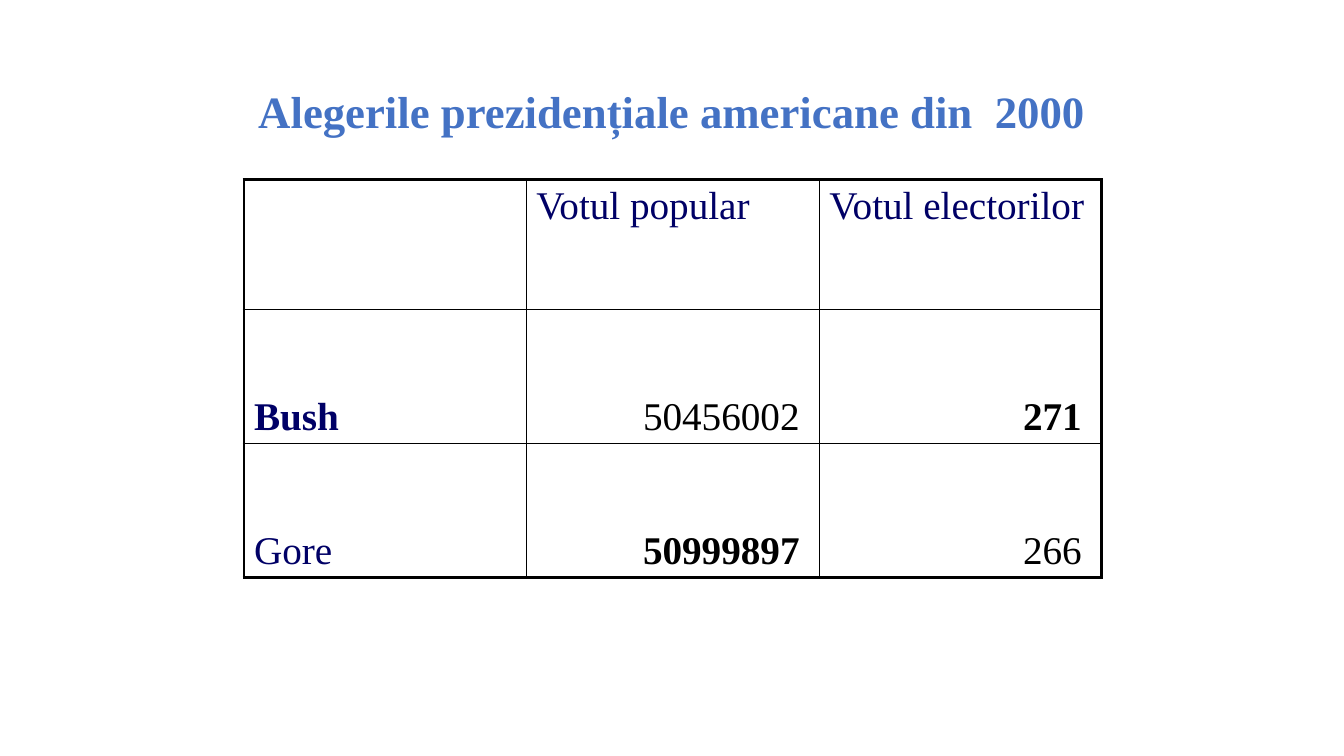
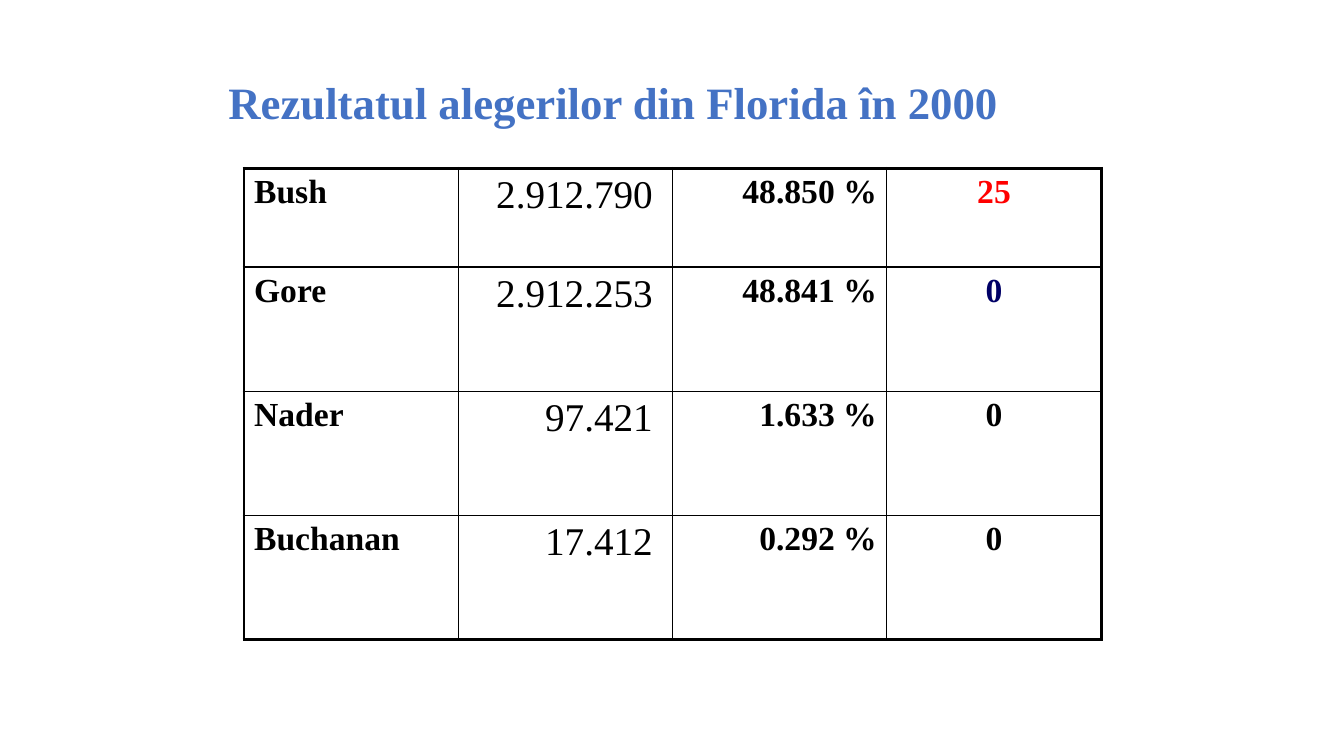
from dataclasses import dataclass

from lxml import etree
from pptx import Presentation
from pptx.dml.color import RGBColor
from pptx.enum.text import MSO_ANCHOR, MSO_AUTO_SIZE, PP_ALIGN
from pptx.oxml.ns import qn
from pptx.util import Cm, Pt

LEFT, CENTER, RIGHT = PP_ALIGN.LEFT, PP_ALIGN.CENTER, PP_ALIGN.RIGHT
TOP, MIDDLE, BOTTOM = MSO_ANCHOR.TOP, MSO_ANCHOR.MIDDLE, MSO_ANCHOR.BOTTOM
TITLE_ONLY_LAYOUT = 5


@dataclass(frozen=True)
class Theme:
    font: str = "Times New Roman"
    title_color: str = "4472C4"
    navy: str = "000066"
    black: str = "000000"
    red: str = "FF0000"
    title_size: int = 32
    large_size: int = 28
    medium_size: int = 24
    outer_line: float = 2.25
    inner_line: float = 1


THEME = Theme()


@dataclass(frozen=True)
class Box:
    left: float
    top: float
    width: float
    height: float


def write_text(text_frame, text, *, size=THEME.large_size, color=THEME.black,
               bold=False, align=LEFT, line_spacing=None):
    paragraph = text_frame.paragraphs[0]
    paragraph.alignment = align
    paragraph.line_spacing = line_spacing
    run = paragraph.add_run()
    run.text = text
    run.font.name = THEME.font
    run.font.size = Pt(size)
    run.font.bold = bold
    run.font.color.rgb = RGBColor.from_string(color)


def add_titled_slide(presentation, title, box, align):
    slide = presentation.slides.add_slide(
        presentation.slide_layouts[TITLE_ONLY_LAYOUT])
    shape = slide.shapes.title
    shape.left, shape.top = Cm(box.left), Cm(box.top)
    shape.width, shape.height = Cm(box.width), Cm(box.height)
    text_frame = shape.text_frame
    text_frame.auto_size = MSO_AUTO_SIZE.NONE
    text_frame.word_wrap = True
    text_frame.vertical_anchor = MIDDLE
    write_text(text_frame, title, size=THEME.title_size, bold=True,
               color=THEME.title_color, align=align, line_spacing=0.9)
    return slide


def set_borders(cell, outer_edges):
    """Draw all four borders, with the heavy line where the edge is outer."""
    properties = cell._tc.get_or_add_tcPr()
    # The schema wants the borders in this order, ahead of the fill.
    for position, (tag, is_outer) in enumerate(
            zip(("a:lnL", "a:lnR", "a:lnT", "a:lnB"), outer_edges)):
        width = THEME.outer_line if is_outer else THEME.inner_line
        line = etree.Element(qn(tag), w=str(Pt(width)))
        fill = etree.SubElement(line, qn("a:solidFill"))
        etree.SubElement(fill, qn("a:srgbClr"), val=THEME.black)
        properties.insert(position, line)


def add_grid(slide, left, top, column_widths, row_heights, rows):
    """Add a table; each cell is (text, format), where format may hold an anchor."""
    frame = slide.shapes.add_table(
        len(row_heights), len(column_widths), Cm(left), Cm(top),
        Cm(sum(column_widths)), Cm(sum(row_heights)))
    table = frame.table
    table.first_row = table.horz_banding = False
    for column, width in zip(table.columns, column_widths):
        column.width = Cm(width)
    for row, height in zip(table.rows, row_heights):
        row.height = Cm(height)

    last_row, last_column = len(row_heights) - 1, len(column_widths) - 1
    for row_index, row in enumerate(rows):
        for column_index, (text, text_format) in enumerate(row):
            cell = table.cell(row_index, column_index)
            cell.fill.background()
            set_borders(cell, (column_index == 0, column_index == last_column,
                               row_index == 0, row_index == last_row))
            text_format = dict(text_format)
            cell.vertical_anchor = text_format.pop("anchor", TOP)
            if text:
                write_text(cell.text_frame, text, **text_format)


def add_national_slide(presentation):
    slide = add_titled_slide(
        presentation, "Alegerile prezidențiale americane din  2000",
        Box(2.33, 1.02, 29.21, 3.68), CENTER)
    results = [
        ("Bush", "50456002 ", "271 ", (True, False, True)),
        ("Gore", "50999897 ", "266 ", (False, True, False)),
    ]
    header = {"color": THEME.navy}
    name = {"color": THEME.navy, "anchor": BOTTOM}
    number = {"align": RIGHT, "anchor": BOTTOM}
    rows = [[("", header), ("Votul popular", header),
             ("Votul electorilor", header)]]
    for *texts, bolds in results:
        rows.append([(text, {**style, "bold": bold}) for text, style, bold
                     in zip(texts, (name, number, number), bolds)])
    add_grid(slide, 6.15, 4.52, (7.11, 7.39, 7.11), (3.28, 3.38, 3.38), rows)


def add_florida_slide(presentation):
    slide = add_titled_slide(
        presentation, "Rezultatul alegerilor din Florida în 2000",
        Box(5.5, 1.06, 22.23, 3.18), LEFT)
    results = [
        ("Bush", "2.912.790 ", "48.850 %", "25", THEME.red),
        ("Gore", "2.912.253 ", "48.841 %", "0", THEME.navy),
        ("Nader", "97.421 ", "1.633 %", "0", THEME.black),
        ("Buchanan", "17.412 ", "0.292 %", "0", THEME.black),
    ]
    strong = {"size": THEME.medium_size, "bold": True}
    rows = [[(name, strong),
             (votes, {"align": RIGHT}),
             (share, {**strong, "align": RIGHT}),
             (electors, {**strong, "align": CENTER, "color": color})]
            for name, votes, share, electors, color in results]
    add_grid(slide, 6.15, 4.24, (5.4,) * 4, (2.49,) + (3.13,) * 3, rows)


def main():
    presentation = Presentation()
    presentation.slide_width = Cm(33.87)
    presentation.slide_height = Cm(19.05)
    add_national_slide(presentation)
    add_florida_slide(presentation)
    presentation.save("out.pptx")


if __name__ == "__main__":
    main()
